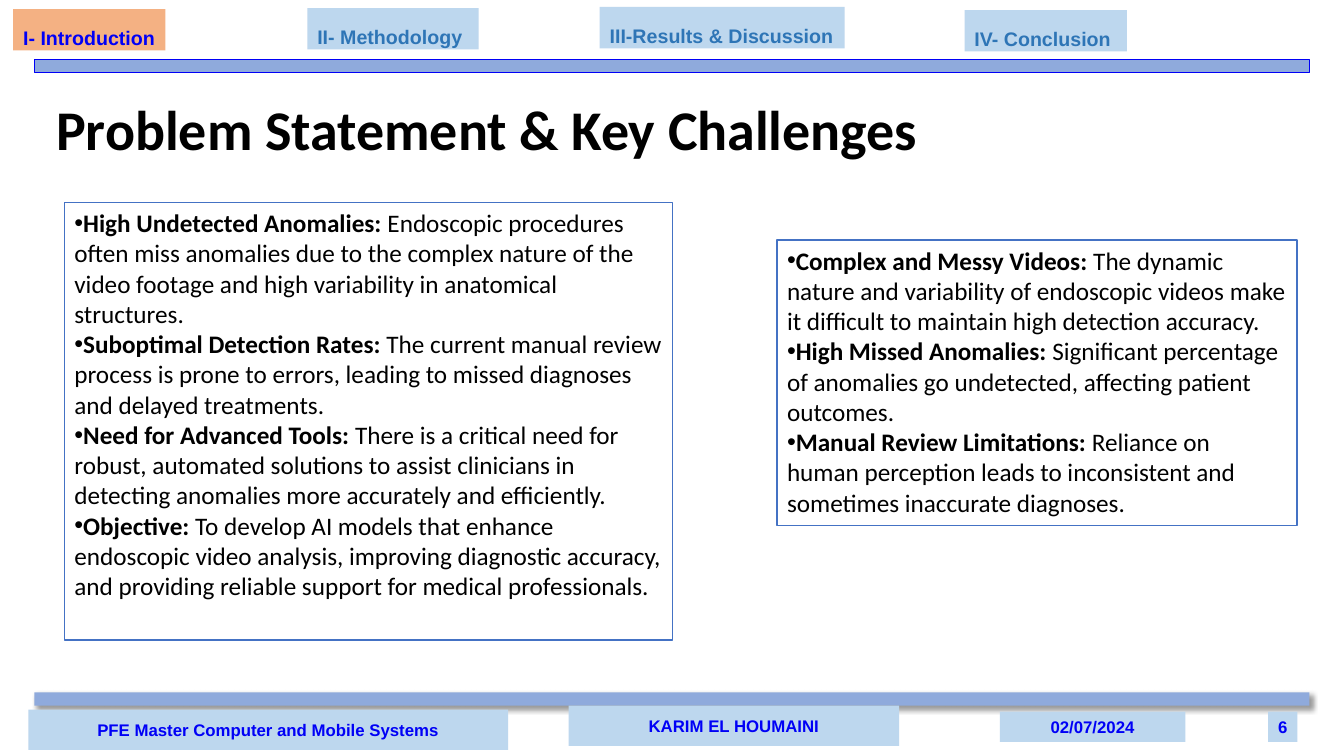
from dataclasses import dataclass

from lxml.etree import SubElement
from pptx import Presentation
from pptx.dml.color import RGBColor
from pptx.enum.shapes import MSO_SHAPE
from pptx.enum.text import MSO_ANCHOR, MSO_AUTO_SIZE, PP_ALIGN
from pptx.oxml.ns import qn
from pptx.util import Pt


@dataclass(frozen=True)
class Theme:
    """Colours, fonts and type sizes of the slide."""

    bar: str = "8FAADC"
    panel: str = "BDD7EE"
    active_panel: str = "F4B183"
    accent: str = "0000F6"
    inactive: str = "2E75B6"
    card: str = "FFFFFF"
    card_border: str = "4472C4"
    ink: str = "000000"
    label_font: str = "Arial"
    body_font: str = "Calibri"
    title_size: int = 40
    body_size: int = 18
    tab_size: int = 14
    footer_size: int = 12


THEME = Theme()

TABS = [
    ("I- Introduction", 9.4, 6.5, 108.7),
    ("II- Methodology", 219.6, 5.8, 122.4),
    ("III-Results & Discussion", 428.4, 5, 175),
    ("IV- Conclusion", 689, 7.2, 116),
]

FOOTERS = [
    ("PFE Master Computer and Mobile Systems", (20.2, 506.9, 342.7, 28.8)),
    ("KARIM EL HOUMAINI", (406.1, 504, 236.2, 28.8)),
    ("02/07/2024", (714.2, 508.3, 132.5, 21.6)),
]

PROBLEMS = [
    ("High Undetected Anomalies:",
     " Endoscopic procedures often miss anomalies due to the complex nature of the video footage "
     "and high variability in anatomical structures."),
    ("Suboptimal Detection Rates:",
     " The current manual review process is prone to errors, leading to missed diagnoses "
     "and delayed treatments."),
    ("Need for Advanced Tools:",
     " There is a critical need for robust, automated solutions to assist clinicians in "
     "detecting anomalies more accurately and efficiently."),
    ("Objective:",
     " To develop AI models that enhance endoscopic video analysis, improving diagnostic "
     "accuracy, and providing reliable support for medical professionals."),
]

CHALLENGES = [
    ("Complex and Messy Videos:",
     " The dynamic nature and variability of endoscopic videos make it difficult to maintain "
     "high detection accuracy."),
    ("High Missed Anomalies:",
     " Significant percentage of anomalies go undetected, affecting patient outcomes."),
    ("Manual Review Limitations:",
     " Reliance on human perception leads to inconsistent and sometimes inaccurate diagnoses."),
]


def style_font(font, name, size, color, bold=True):
    """Set the face, size, colour and weight of a font."""
    font.name = name
    font.size = Pt(size)
    font.bold = bold
    font.color.rgb = RGBColor.from_string(color)


def add_rectangle(slide, box, fill, border=None):
    """Add a flat rectangle with an optional one-point border."""
    shape = slide.shapes.add_shape(MSO_SHAPE.RECTANGLE, *map(Pt, box))
    shape.shadow.inherit = False
    shape.fill.solid()
    shape.fill.fore_color.rgb = RGBColor.from_string(fill)
    if border:
        shape.line.color.rgb = RGBColor.from_string(border)
        shape.line.width = Pt(1)
    else:
        shape.line.fill.background()
    return shape


def add_drop_shadow(shape):
    """Cast a soft black shadow to the lower right."""
    effects = shape._element.spPr.find(qn("a:effectLst"))
    shadow = SubElement(effects, qn("a:outerShdw"), blurRad=str(Pt(4)), dist=str(Pt(3)),
                        dir="2700000", algn="tl", rotWithShape="0")
    color = SubElement(shadow, qn("a:srgbClr"), val=THEME.ink)
    SubElement(color, qn("a:alpha"), val="40000")


def add_tab(slide, label, left, top, width, active):
    """Add a section tab, highlighted when active."""
    fill = THEME.active_panel if active else THEME.panel
    shape = add_rectangle(slide, (left, top, width, 29.5), fill)
    frame = shape.text_frame
    frame.text = label
    frame.word_wrap = False
    frame.auto_size = MSO_AUTO_SIZE.SHAPE_TO_FIT_TEXT
    frame.vertical_anchor = MSO_ANCHOR.TOP
    paragraph = frame.paragraphs[0]
    paragraph.alignment = PP_ALIGN.LEFT
    paragraph.line_spacing = 1.5
    paragraph.space_after = Pt(12)
    color = THEME.accent if active else THEME.inactive
    style_font(paragraph.runs[0].font, THEME.label_font, THEME.tab_size, color)


def add_footer(slide, label, box, alignment=PP_ALIGN.CENTER, wrap=True):
    """Add a footer panel with one line of text."""
    frame = add_rectangle(slide, box, THEME.panel).text_frame
    frame.text = label
    frame.word_wrap = wrap
    frame.vertical_anchor = MSO_ANCHOR.MIDDLE
    paragraph = frame.paragraphs[0]
    paragraph.alignment = alignment
    style_font(paragraph.runs[0].font, THEME.label_font, THEME.footer_size, THEME.accent)


def add_card(slide, box, points):
    """Add a bordered card of bullets, each with a bold lead-in."""
    frame = add_rectangle(slide, box, THEME.card, THEME.card_border).text_frame
    frame.text = "\n".join(lead for lead, _ in points)
    frame.word_wrap = True
    frame.vertical_anchor = MSO_ANCHOR.TOP
    for paragraph, (_, detail) in zip(frame.paragraphs, points):
        paragraph.alignment = PP_ALIGN.LEFT
        properties = paragraph._p.get_or_add_pPr()
        SubElement(properties, qn("a:buFont"), typeface="Arial")
        SubElement(properties, qn("a:buChar"), char="•")
        paragraph.add_run().text = detail
        for run, bold in zip(paragraph.runs, (True, False)):
            style_font(run.font, THEME.body_font, THEME.body_size, THEME.ink, bold)


def add_title(slide, title, box):
    """Add the slide title."""
    frame = slide.shapes.add_textbox(*map(Pt, box)).text_frame
    frame.text = title
    frame.word_wrap = True
    style_font(frame.paragraphs[0].runs[0].font, THEME.body_font, THEME.title_size, THEME.ink)


def main():
    """Build the slide and save the presentation."""
    presentation = Presentation()
    presentation.slide_width = Pt(960)
    presentation.slide_height = Pt(540)
    slide = presentation.slides.add_slide(presentation.slide_layouts[6])

    add_drop_shadow(add_rectangle(slide, (24.5, 494.6, 910.8, 9.4), THEME.bar))
    add_rectangle(slide, (24.5, 42.5, 910.8, 9.4), THEME.bar, THEME.accent)
    for label, box in FOOTERS:
        add_footer(slide, label, box)
    add_footer(slide, "6", (905.8, 508.3, 20.9, 21.6), PP_ALIGN.RIGHT, wrap=False)
    for index, (label, left, top, width) in enumerate(TABS):
        add_tab(slide, label, left, top, width, active=index == 0)
    add_card(slide, (46.1, 144.7, 434.2, 312.5), PROBLEMS)
    add_card(slide, (555.1, 171.4, 371.5, 203.8), CHALLENGES)
    add_title(slide, "Problem Statement & Key Challenges", (33.1, 64.1, 847.4, 55.4))

    presentation.save("out.pptx")


if __name__ == "__main__":
    main()
